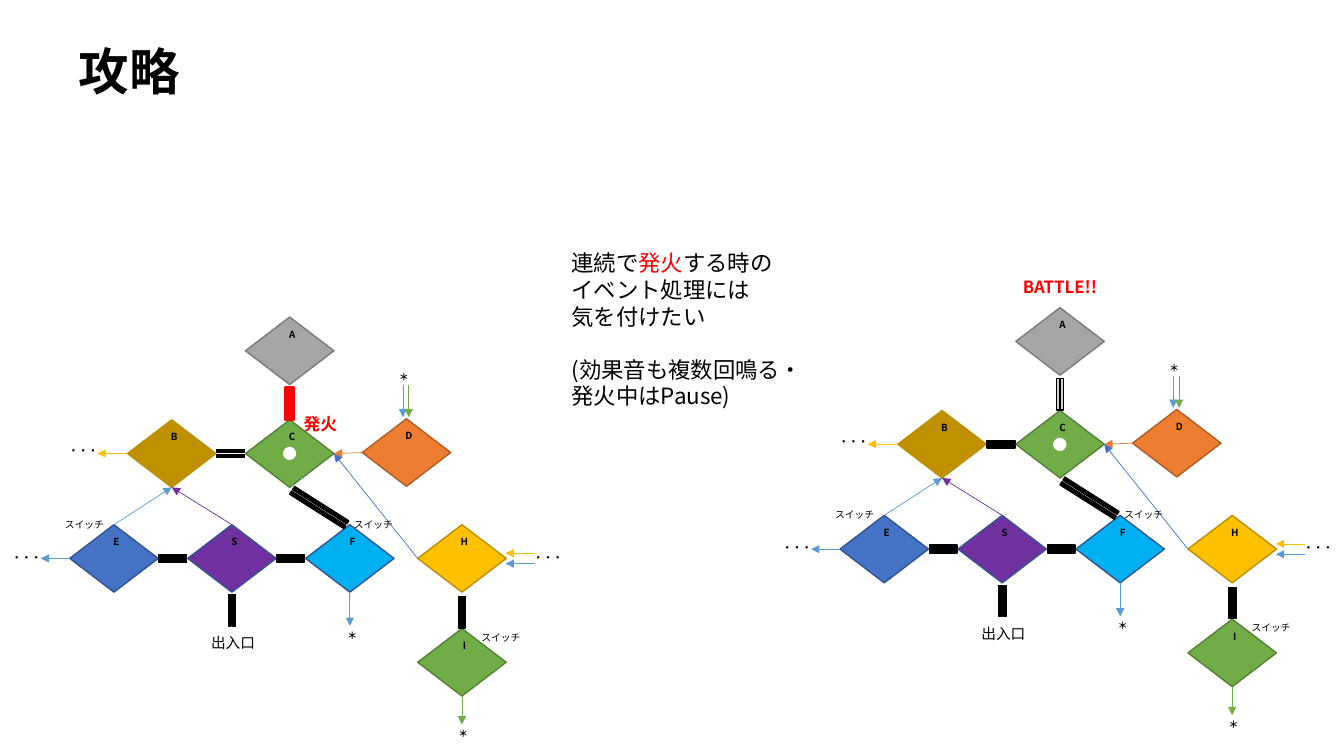
from dataclasses import dataclass

from lxml import etree
from pptx import Presentation
from pptx.dml.color import RGBColor
from pptx.enum.shapes import MSO_CONNECTOR, MSO_SHAPE
from pptx.enum.text import MSO_ANCHOR, MSO_AUTO_SIZE, PP_ALIGN
from pptx.oxml.ns import qn
from pptx.util import Inches, Pt

DIAMOND, EQUAL = MSO_SHAPE.FLOWCHART_DECISION, MSO_SHAPE.MATH_EQUAL
STRAIGHT = MSO_CONNECTOR.STRAIGHT
LEFT, CENTER, MIDDLE, TOP_ANCHOR = PP_ALIGN.LEFT, PP_ALIGN.CENTER, MSO_ANCHOR.MIDDLE, MSO_ANCHOR.TOP
TOP, WEST, BOTTOM, EAST = range(4)

FONT = "Noto Sans CJK JP"
BLACK, WHITE, RED = "000000", "FFFFFF", "FF0000"
BLUE, GOLD, GREEN, ORANGE = "5B9BD5", "FFC000", "70AD47", "ED7D31"
NAVY, PURPLE = "4472C4", "7030A0"

# Slide size, and the grid whose cell (0, 0) is the map's upper left corner
WIDTH, HEIGHT = 13.33, 7.5
COL, ROW = 1.17, 1.03
X0, Y0 = 1.13, 3.48
ROOM_W, ROOM_H = 0.75, 0.65  # in columns and rows
LETTER_RISE = 0.16


@dataclass(frozen=True)
class Room:
    name: str
    col: float
    row: float
    fill: str
    line: str
    text: str = ""


@dataclass(frozen=True)
class Bar:
    col: float
    row: float
    w: float
    h: float
    rot: float = 0
    fill: str = BLACK
    line: str = BLACK
    weight: float = 1


@dataclass(frozen=True)
class Arrow:
    start: tuple  # (room name, side) or (column, row)
    end: tuple
    color: str


@dataclass(frozen=True)
class Note:
    text: str
    col: float
    row: float
    w: float = 0.15
    size: float = 7
    bold: bool = True
    color: str = BLACK
    rot: float = 0


@dataclass(frozen=True)
class Map:
    col: float
    row: float
    gate: Bar
    alert: Note


ROOMS = [
    Room("B", 0.49, 0.99, "BF9000", "BD8E00"),
    Room("C", 1.49, 0.99, GREEN, "538035", "●"),
    Room("A", 1.49, 0, "A5A5A5", "7A7A7A"),
    Room("D", 2.48, 0.98, ORANGE, "AF5C24"),
    Room("E", 0, 2, NAVY, "325491"),
    Room("S", 1, 2, PURPLE, "325491"),
    Room("F", 2, 2, "00B0F0", "325491"),
    Room("H", 2.95, 2, GOLD, "BD8E00"),
    Room("I", 2.95, 3, GREEN, "538035"),
]
BARS = [
    Bar(0.99, 0.99, 0.32, 0.13),
    Bar(0.5, 2, 0.32, 0.13),
    Bar(1.5, 2, 0.32, 0.13),
    Bar(1, 2.5, 0.36, 0.12, 90),
    Bar(2.95, 2.52, 0.36, 0.12, 90),
    Bar(1.74, 1.51, 0.74, 0.15, 32.4),
]
ARROWS = [
    Arrow(("D", WEST), ("C", EAST), ORANGE),
    Arrow(("E", TOP), ("B", BOTTOM), BLUE),
    Arrow(("S", TOP), ("B", BOTTOM), PURPLE),
    Arrow(("H", WEST), ("C", EAST), NAVY),
    Arrow(("E", WEST), (-0.62, 2), BLUE),
    Arrow(("B", WEST), (-0.14, 0.99), GOLD),
    Arrow(("F", BOTTOM), (2, 2.65), BLUE),
    Arrow(("I", BOTTOM), (2.95, 3.6), GREEN),
    Arrow((2.45, 0.33), (2.45, 0.64), BLUE),
    Arrow((2.5, 0.33), (2.5, 0.64), GREEN),
    Arrow((3.57, 1.95), (3.32, 1.95), GOLD),
    Arrow((3.57, 2.05), (3.32, 2.05), BLUE),
]
NOTES = [Note(m.name, m.col, m.row - LETTER_RISE) for m in ROOMS]
NOTES += [Note("・・・", c, r, 0.45) for c, r in [(-0.74, 1.99), (3.68, 1.99), (-0.26, 0.96)]]
NOTES += [Note("＊", c, r, rot=a) for c, r, a in [(2, 2.74, 0), (2.48, 0.26, 180), (2.94, 3.69, 0)]]
NOTES += [Note("スイッチ", c, r, 0.51, bold=False) for c, r in [(-0.25, 1.67), (2.2, 1.67), (3.28, 2.76)]]
NOTES += [Note("出入口", 1.01, 2.81, 0.67, 10.5, False)]
MAPS = [
    Map(0, 0, Bar(1.49, 0.51, 0.36, 0.12, 270, "C55A11", RED, 3),
        Note("発火", 1.75, 0.7, 0.49, 12, color=RED)),
    Map(6.53, -0.09, Bar(1.49, 0.51, 0.36, 0.12, 270, "D0CECE"),
        Note("BATTLE!!", 1.49, -0.53, 1.07, 12, color=RED)),
]
ADVICE = [
    [("連続で", BLACK), ("発火", RED), ("する時の", BLACK)],
    [("イベント処理には", BLACK)],
    [("気を付けたい", BLACK)],
    [("(効果音も複数回鳴る・発火中はPause)", BLACK)],
]


def rgb(color: str) -> RGBColor:
    return RGBColor.from_string(color)


def share(x: float, y: float, w: float, h: float) -> list:
    """Percentages of the slide's size as lengths."""
    return [Inches(v * side / 100) for v, side in zip((x, y, w, h), (WIDTH, HEIGHT) * 2)]


def point(area: Map, col: float, row: float) -> tuple:
    return Inches(X0 + COL * (area.col + col)), Inches(Y0 + ROW * (area.row + row))


def centred(area: Map, col: float, row: float, w: float, h: float) -> tuple:
    x, y = point(area, col, row)
    return x - w // 2, y - h // 2, w, h


def add_run(p, text: str, size: float, color: str, bold: bool = False) -> None:
    r = p.add_run()
    r.text = text
    r.font.name, r.font.size, r.font.bold = FONT, Pt(size), bold
    r.font.color.rgb = rgb(color)
    etree.SubElement(r.font._element, qn("a:ea")).set("typeface", FONT)


def set_frame(tf, wrap: bool, anchor, side: float = 0, edge: float = 0) -> None:
    tf.word_wrap, tf.vertical_anchor, tf.auto_size = wrap, anchor, MSO_AUTO_SIZE.NONE
    tf.margin_left = tf.margin_right = Inches(side)
    tf.margin_top = tf.margin_bottom = Inches(edge)


def add_form(shapes, kind, box: tuple, fill: str, line: str, weight: float = 1):
    sp = shapes.add_shape(kind, *box)
    sp.shadow.inherit = False
    sp.fill.solid()
    sp.fill.fore_color.rgb = rgb(fill)
    sp.line.color.rgb = rgb(line)
    sp.line.width = Pt(weight)
    return sp


def add_room(shapes, area: Map, room: Room):
    box = centred(area, room.col, room.row, Inches(ROOM_W * COL), Inches(ROOM_H * ROW))
    sp = add_form(shapes, DIAMOND, box, room.fill, room.line)
    if room.text:
        set_frame(sp.text_frame, False, MIDDLE)
        p = sp.text_frame.paragraphs[0]
        p.alignment = CENTER
        add_run(p, room.text, 10.5, WHITE)
    return sp


def add_bar(shapes, area: Map, bar: Bar) -> None:
    box = centred(area, bar.col, bar.row, Inches(bar.w * COL), Inches(bar.h * ROW))
    sp = add_form(shapes, EQUAL, box, bar.fill, bar.line, bar.weight)
    sp.rotation = bar.rot


def add_arrow(shapes, area: Map, arrow: Arrow, rooms: dict) -> None:
    ends = [(0, 0) if e[0] in rooms else point(area, *e) for e in (arrow.start, arrow.end)]
    cx = shapes.add_connector(STRAIGHT, *ends[0], *ends[1])
    for join, (name, side) in ((cx.begin_connect, arrow.start), (cx.end_connect, arrow.end)):
        if name in rooms:
            join(rooms[name], side)
    cx.line.color.rgb = rgb(arrow.color)
    cx.line.width = Pt(0.5)
    etree.SubElement(cx.line._get_or_add_ln(), qn("a:tailEnd")).set("type", "triangle")
    etree.SubElement(cx._element.spPr, qn("a:effectLst"))


def add_note(shapes, area: Map, note: Note) -> None:
    height = Inches(0.18 if note.size < 10 else note.size * 0.024)
    sp = shapes.add_textbox(*centred(area, note.col, note.row, Inches(note.w * COL), height))
    sp.rotation = note.rot
    set_frame(sp.text_frame, False, MIDDLE)
    if len(note.text) == 1:
        sp.text_frame.margin_left = Inches(0.05)
    p = sp.text_frame.paragraphs[0]
    p.alignment = CENTER
    add_run(p, note.text, note.size, note.color, note.bold)


def add_map(s, area: Map) -> None:
    shapes = s.shapes.add_group_shape().shapes
    rooms = {room.name: add_room(shapes, area, room) for room in ROOMS}
    for bar in BARS + [area.gate]:
        add_bar(shapes, area, bar)
    for arrow in ARROWS:
        add_arrow(shapes, area, arrow, rooms)
    for note in NOTES:
        add_note(shapes, area, note)
    add_note(s.shapes, area, area.alert)


def add_title(s, text: str) -> None:
    sp = s.shapes.title
    sp.left, sp.top, sp.width, sp.height = share(5.1, 4.53, 37.66, 9.47)
    set_frame(sp.text_frame, True, MIDDLE, 0.1, 0.05)
    p = sp.text_frame.paragraphs[0]
    p.alignment = LEFT
    add_run(p, text, 36, BLACK, True)


def add_advice(s) -> None:
    tf = s.shapes.add_textbox(*share(41.79, 32.4, 18.9, 22.93)).text_frame
    set_frame(tf, True, TOP_ANCHOR, 0.1, 0.05)
    for i, runs in enumerate(ADVICE):
        p = tf.add_paragraph() if i else tf.paragraphs[0]
        p.line_spacing = Pt(19)
        for text, color in runs:
            add_run(p, text, 16, color)
    p.space_before = Pt(19)  # gap above the closing remark


def main() -> None:
    prs = Presentation()
    prs.slide_width, prs.slide_height = Inches(WIDTH), Inches(HEIGHT)
    s = prs.slides.add_slide(prs.slide_layouts[5])
    add_title(s, "攻略")
    for area in MAPS:
        add_map(s, area)
    add_advice(s)
    prs.save("out.pptx")


if __name__ == "__main__":
    main()
